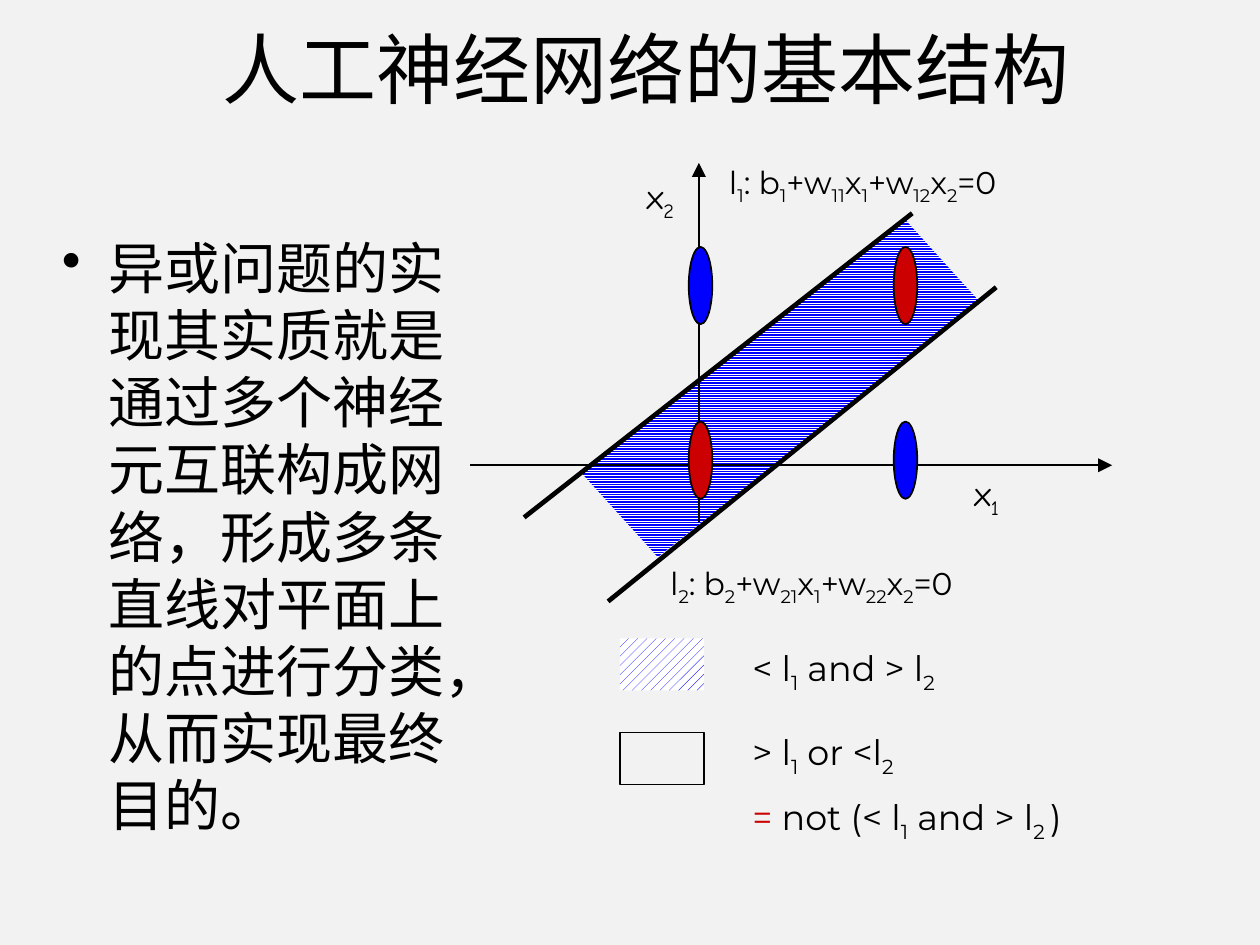
from dataclasses import dataclass

from lxml.etree import SubElement
from pptx import Presentation
from pptx.dml.color import RGBColor
from pptx.dml.fill import FillFormat
from pptx.enum.dml import MSO_PATTERN
from pptx.enum.shapes import MSO_CONNECTOR, MSO_SHAPE
from pptx.enum.text import PP_ALIGN
from pptx.oxml.ns import qn
from pptx.slide import Slide
from pptx.text.text import Font, _Paragraph
from pptx.util import Inches, Pt

BLACK = "000000"
BLUE = "0000FF"
RED = "CC0000"
WHITE = "FFFFFF"
CHINESE_FONT = "Noto Sans CJK KR"
SLIDE_WIDTH = 7.5


@dataclass
class TextBlock:
    left: float
    top: float
    width: float
    height: float
    lines: list[str]
    size: float
    font: str = "Montserrat"
    wrap: bool = True
    margins: tuple[float, float, float, float] = (0.1, 0.05, 0.1, 0.05)


@dataclass
class Line:
    start: tuple[float, float]
    end: tuple[float, float]
    weight: float
    arrow: bool = False


@dataclass
class Area:
    kind: MSO_SHAPE
    left: float
    top: float
    width: float
    height: float
    fill: str | None = None
    pattern: MSO_PATTERN | None = None
    outlined: bool = False
    rotation: float = 0


def color(value: str) -> RGBColor:
    return RGBColor.from_string(value)


def style_font(font: Font, name: str, size: float) -> None:
    font.name = name
    font.size = Pt(size)
    font.color.rgb = color(BLACK)


def write_line(paragraph: _Paragraph, text: str) -> None:
    """Parts between bars are subscripts."""
    for index, part in enumerate(text.split("|")):
        if part:
            run = paragraph.add_run()
            run.text = part
            if index % 2:
                run._r.get_or_add_rPr().set("baseline", "-25000")


def add_text(slide: Slide, block: TextBlock) -> list[_Paragraph]:
    box = slide.shapes.add_textbox(
        Inches(block.left), Inches(block.top), Inches(block.width), Inches(block.height)
    )
    frame = box.text_frame
    frame.word_wrap = block.wrap
    frame.margin_left, frame.margin_top, frame.margin_right, frame.margin_bottom = map(
        Inches, block.margins
    )
    for index, text in enumerate(block.lines):
        paragraph = frame.add_paragraph() if index else frame.paragraphs[0]
        if index:
            paragraph.space_before = Pt(7.5)
        write_line(paragraph, text)
        style_font(paragraph.font, block.font, block.size)
    return list(frame.paragraphs)


def set_chinese(paragraph: _Paragraph) -> None:
    defaults = paragraph._p.pPr.find(qn("a:defRPr"))
    SubElement(defaults, qn("a:ea")).set("typeface", CHINESE_FONT)


def add_bullet(paragraph: _Paragraph) -> None:
    properties = paragraph._p.get_or_add_pPr()
    properties.set("marL", str(Inches(0.28)))
    properties.set("indent", str(-Inches(0.28)))
    bullet = SubElement(properties, qn("a:buChar"))
    bullet.set("char", "•")
    properties.find(qn("a:defRPr")).addprevious(bullet)


def add_line(slide: Slide, line: Line) -> None:
    connector = slide.shapes.add_connector(
        MSO_CONNECTOR.STRAIGHT, *map(Inches, line.start + line.end)
    )
    connector.line.color.rgb = color(BLACK)
    connector.line.width = Pt(line.weight)
    properties = connector._element.spPr
    if line.arrow:
        SubElement(properties.find(qn("a:ln")), qn("a:tailEnd")).set("type", "triangle")
    SubElement(properties, qn("a:effectLst"))


def fill_area(fill: FillFormat, area: Area) -> None:
    if area.fill is None:
        fill.background()
    elif area.pattern is None:
        fill.solid()
        fill.fore_color.rgb = color(area.fill)
    else:
        fill.patterned()
        fill.pattern = area.pattern
        fill.fore_color.rgb = color(area.fill)
        fill.back_color.rgb = color(WHITE)


def add_area(slide: Slide, area: Area) -> None:
    shape = slide.shapes.add_shape(
        area.kind, Inches(area.left), Inches(area.top), Inches(area.width), Inches(area.height)
    )
    shape.shadow.inherit = False
    shape.rotation = area.rotation
    fill_area(shape.fill, area)
    if area.outlined:
        shape.line.color.rgb = color(BLACK)
        shape.line.width = Pt(0.75)
    else:
        shape.line.fill.background()


def main() -> None:
    presentation = Presentation()
    presentation.slide_width = Inches(SLIDE_WIDTH)
    presentation.slide_height = Inches(SLIDE_WIDTH * 3 / 4)
    slide = presentation.slides.add_slide(presentation.slide_layouts[6])
    slide.background.fill.solid()
    slide.background.fill.fore_color.rgb = color("F2F2F2")

    title = TextBlock(0.61, 0.08, 6.47, 1.09, ["人工神经网络的基本结构"], 33, CHINESE_FONT)
    title_paragraph = add_text(slide, title)[0]
    title_paragraph.alignment = PP_ALIGN.CENTER
    set_chinese(title_paragraph)

    explanation = "异或问题的实现其实质就是通过多个神经元互联构成网络，形成多条直线对平面上的点进行分类，从而实现最终目的。"
    body = TextBlock(
        0.27, 1.34, 2.48, 3.84, [explanation], 24, CHINESE_FONT, margins=(0.1, 0.05, 0.06, 0.05)
    )
    body_paragraph = add_text(slide, body)[0]
    set_chinese(body_paragraph)
    add_bullet(body_paragraph)

    band = Area(
        MSO_SHAPE.FLOWCHART_DATA, 4.23, 1.09, 0.84, 2.44,
        BLUE, MSO_PATTERN.DARK_HORIZONTAL, rotation=47.8,
    )
    add_area(slide, band)

    for axis in (
        Line((2.8, 2.77), (6.62, 2.77), 0.75, arrow=True),
        Line((4.16, 3.11), (4.16, 0.97), 0.75, arrow=True),
    ):
        add_line(slide, axis)

    for row, top in enumerate((1.47, 2.51)):
        for column, left in enumerate((4.1, 5.32)):
            fill = BLUE if row == column else RED
            add_area(slide, Area(MSO_SHAPE.OVAL, left, top, 0.14, 0.46, fill, outlined=True))

    for boundary in (Line((5.43, 1.27), (3.12, 3.08), 2), Line((5.93, 1.71), (3.62, 3.58), 2)):
        add_line(slide, boundary)

    add_area(
        slide, Area(MSO_SHAPE.RECTANGLE, 3.69, 3.8, 0.5, 0.31, BLUE, MSO_PATTERN.WIDE_UPWARD_DIAGONAL)
    )
    add_area(slide, Area(MSO_SHAPE.RECTANGLE, 3.69, 4.36, 0.5, 0.31, outlined=True))

    flush = (0, 0, 0, 0)
    for label in (
        TextBlock(5.8, 2.81, 0.52, 0.3, ["x|1|"], 15, "Comic Neue", margins=flush),
        TextBlock(3.85, 1.04, 0.52, 0.31, ["x|2|"], 15, "Comic Neue", margins=flush),
        TextBlock(4.24, 0.92, 2.3, 0.33, ["l|1|: b|1|+w|11|x|1|+w|12|x|2|=0"], 13.5, wrap=False),
        TextBlock(3.89, 3.31, 2.29, 0.33, ["l|2|: b|2|+w|21|x|1|+w|22|x|2|=0"], 13.5, wrap=False),
        TextBlock(4.38, 3.8, 1.62, 0.35, ["< l|1| and > l|2|"], 15),
    ):
        add_text(slide, label)

    outside = TextBlock(
        4.38, 4.3, 2.31, 0.73, ["> l|1| or <l|2|", "=|| not (< l|1| and > l|2 |)"], 15
    )
    negation = add_text(slide, outside)[1]
    negation.runs[0].font.color.rgb = color(RED)

    presentation.save("out.pptx")


if __name__ == "__main__":
    main()
